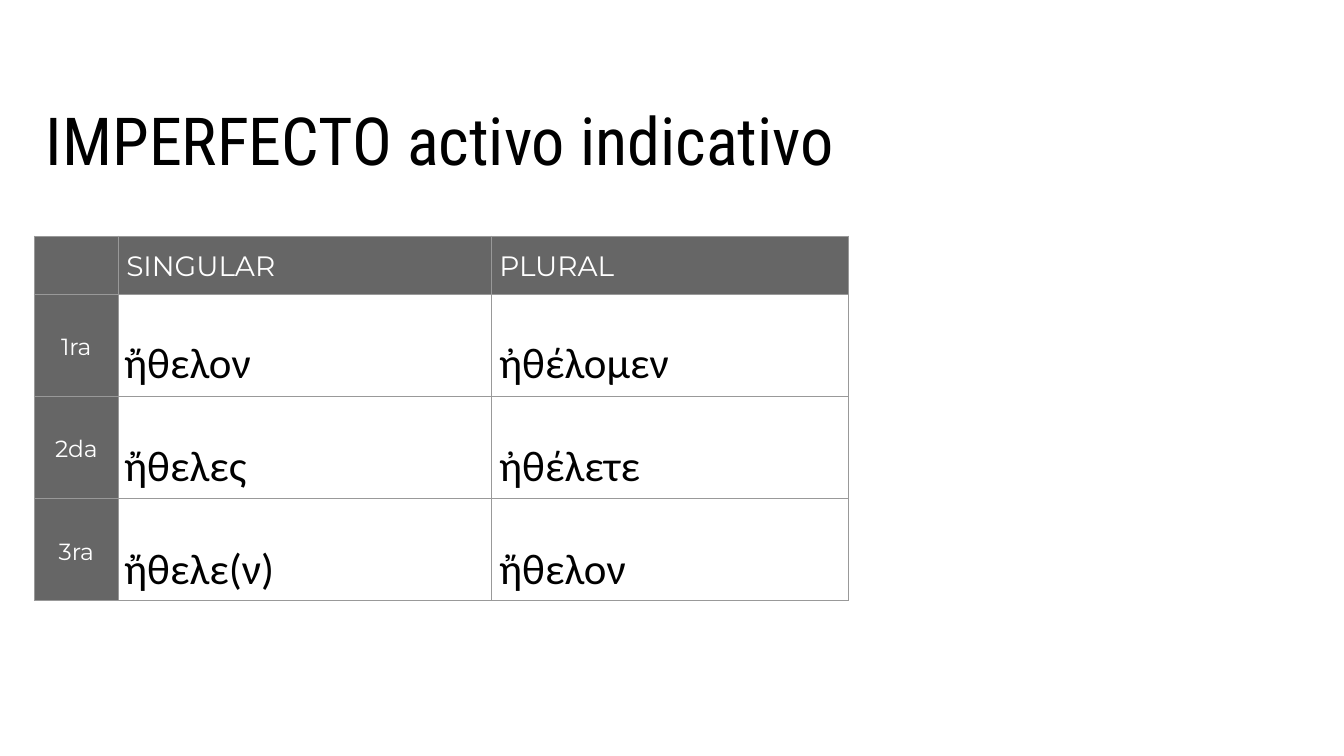
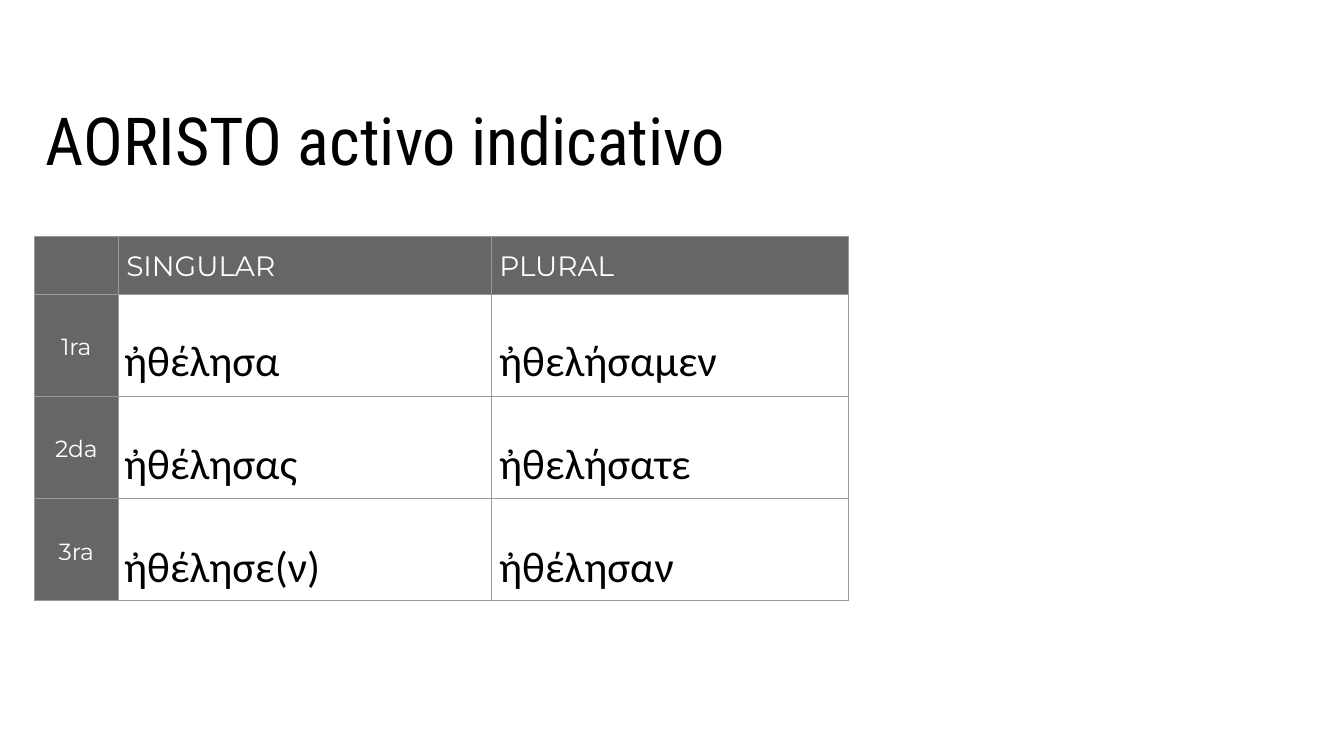
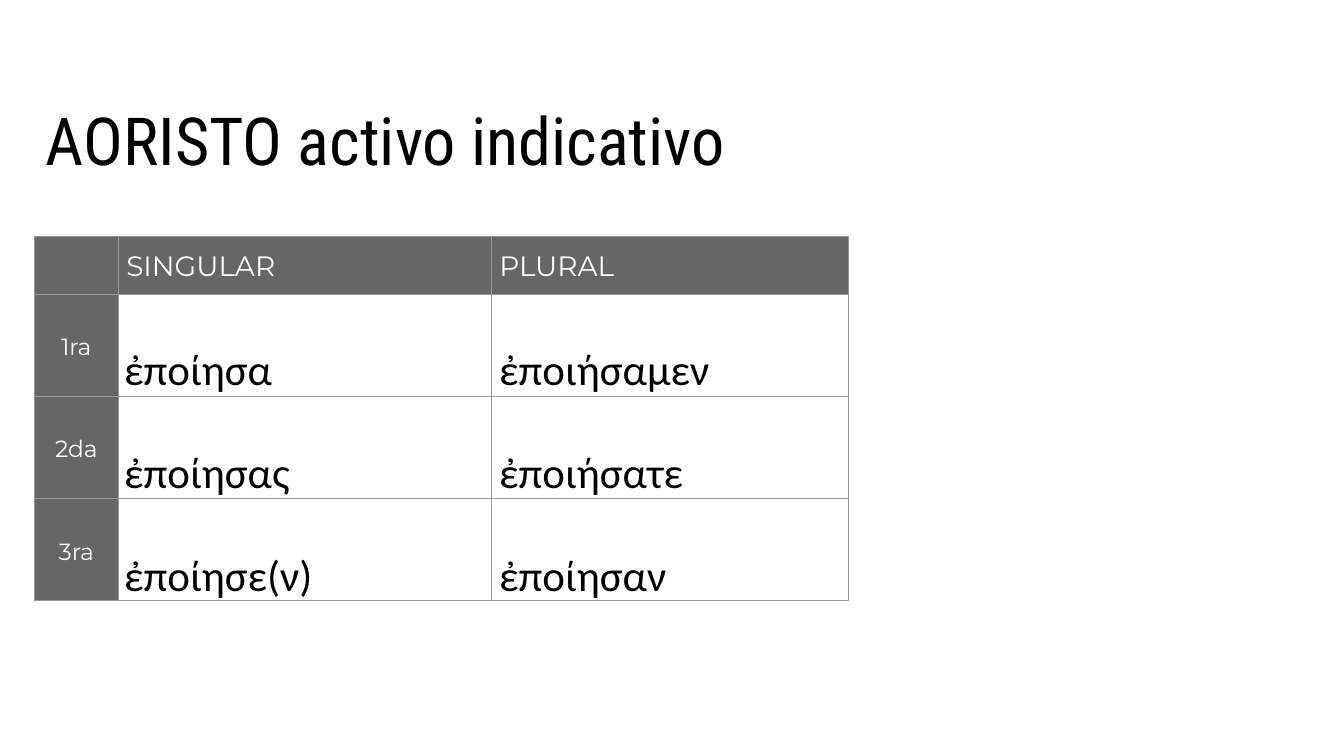
from lxml import etree
from pptx import Presentation
from pptx.dml.color import RGBColor
from pptx.enum.text import MSO_ANCHOR, PP_ALIGN
from pptx.oxml.ns import qn
from pptx.util import Inches, Pt

NUMBERS = ["SINGULAR", "PLURAL"]
PERSONS = ["1ra", "2da", "3ra"]

# Each slide: title, top of the verb forms, singular forms, plural forms
CONJUGATIONS = [
    ("IMPERFECTO activo indicativo", 4.12,
     ["ἤθελον", "ἤθελες", "ἤθελε(ν)"],
     ["ἠθέλομεν", "ἠθέλετε", "ἤθελον"]),
    ("AORISTO activo indicativo", 4.09,
     ["ἠθέλησα", "ἠθέλησας", "ἠθέλησε(ν)"],
     ["ἠθελήσαμεν", "ἠθελήσατε", "ἠθέλησαν"]),
    ("AORISTO activo indicativo", 4.23,
     ["ἐποίησα", "ἐποίησας", "ἐποίησε(ν)"],
     ["ἐποιήσαμεν", "ἐποιήσατε", "ἐποίησαν"]),
]

BLACK = RGBColor(0x00, 0x00, 0x00)
WHITE = RGBColor(0xFF, 0xFF, 0xFF)
HEADING_GRAY = RGBColor(0x66, 0x66, 0x66)
GRID_GRAY = RGBColor(0x99, 0x99, 0x99)

TITLE_FONT, HEADING_FONT, FORM_FONT = "Roboto Condensed", "Montserrat", "Calibri"

LEFT, GRID_TOP = 0.51, 3.51
COLUMN_WIDTHS = [1.25, 5.55, 5.32]
ROW_HEIGHTS = [0.87, 1.52, 1.52, 1.52]
FORM_COLUMNS = [(1.75, 4.07), (7.33, 3.91)]  # left, width
FORM_HEIGHT = 4.63


def style(paragraph, font_name, size, color, line_spacing=None):
    paragraph.line_spacing = line_spacing
    font = paragraph.font
    font.name, font.size = font_name, Pt(size)
    font.color.rgb = color


def set_margins(target, inset):
    """Give a text frame or a cell the same inset on all sides."""
    target.margin_left = target.margin_right = Inches(inset)
    target.margin_top = target.margin_bottom = Inches(inset)


def add_lines(slide, lines, box, inset, **look):
    frame = slide.shapes.add_textbox(*map(Inches, box)).text_frame
    frame.word_wrap = True
    set_margins(frame, inset)
    frame.text = "\n".join(lines)
    for paragraph in frame.paragraphs:
        style(paragraph, color=BLACK, **look)


def add_borders(cell):
    properties = cell._tc.get_or_add_tcPr()
    for side in ("lnL", "lnR", "lnT", "lnB"):
        line = etree.SubElement(properties, qn(f"a:{side}"), w=str(Pt(0.75)))
        fill = etree.SubElement(line, qn("a:solidFill"))
        etree.SubElement(fill, qn("a:srgbClr"), val=str(GRID_GRAY))


def write_heading(cell, text, size, inset):
    cell.text = text
    set_margins(cell, inset)
    style(cell.text_frame.paragraphs[0], HEADING_FONT, size, WHITE, 1.15)


def add_grid(slide):
    """Add the table of persons and numbers that the verb forms lie on."""
    area = (LEFT, GRID_TOP, sum(COLUMN_WIDTHS), sum(ROW_HEIGHTS))
    grid = slide.shapes.add_table(len(ROW_HEIGHTS), len(COLUMN_WIDTHS),
                                  *map(Inches, area)).table
    grid.first_row = grid.horz_banding = False
    for column, width in zip(grid.columns, COLUMN_WIDTHS):
        column.width = Inches(width)
    for r, height in enumerate(ROW_HEIGHTS):
        grid.rows[r].height = Inches(height)
        for c in range(len(COLUMN_WIDTHS)):
            cell = grid.cell(r, c)
            add_borders(cell)
            if r == 0 or c == 0:
                cell.fill.solid()
                cell.fill.fore_color.rgb = HEADING_GRAY
            else:
                cell.fill.background()
    for c, number in enumerate(NUMBERS, 1):
        write_heading(grid.cell(0, c), number, 30, 0.12)
    for r, person in enumerate(PERSONS, 1):
        cell = grid.cell(r, 0)
        write_heading(cell, person, 25, 0.1)
        cell.vertical_anchor = MSO_ANCHOR.MIDDLE
        cell.text_frame.paragraphs[0].alignment = PP_ALIGN.CENTER


def main():
    prs = Presentation()
    prs.slide_width, prs.slide_height = Inches(20), Inches(11.25)
    for title, forms_top, *forms_by_number in CONJUGATIONS:
        slide = prs.slides.add_slide(prs.slide_layouts[6])
        add_grid(slide)
        for (left, width), forms in zip(FORM_COLUMNS, forms_by_number):
            add_lines(slide, forms, (left, forms_top, width, FORM_HEIGHT), 0.1,
                      font_name=FORM_FONT, size=46, line_spacing=2.0)
        add_lines(slide, [title], (LEFT, 1.31, 16.82, 1.17), 0.17,
                  font_name=TITLE_FONT, size=71)
    prs.save("out.pptx")


if __name__ == "__main__":
    main()
